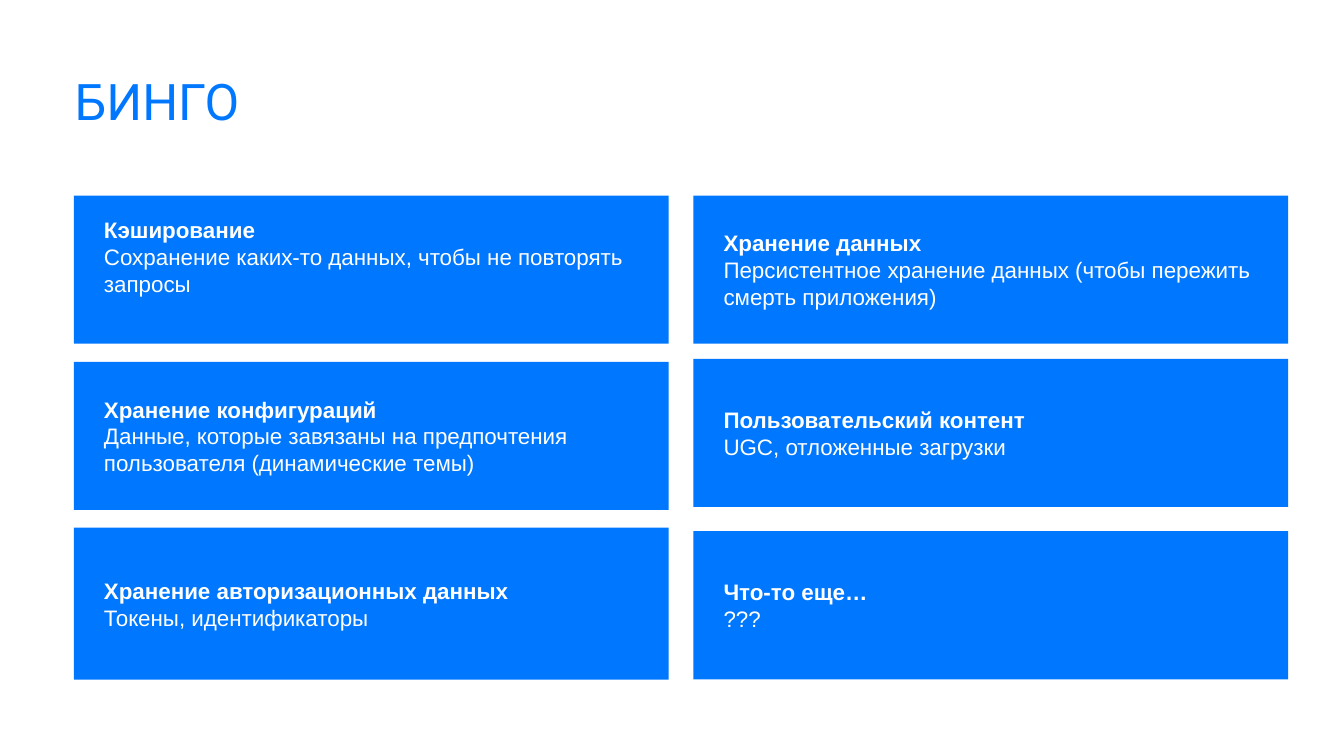
from pptx import Presentation
from pptx.dml.color import RGBColor
from pptx.enum.shapes import MSO_SHAPE
from pptx.enum.text import MSO_ANCHOR as ANCHOR, PP_ALIGN as ALIGN
from pptx.util import Pt

BLUE = RGBColor(0x00, 0x77, 0xFF)
WHITE = RGBColor(0xFF, 0xFF, 0xFF)

CARD_W, CARD_H = 424.8, 105.84
PAD_X, PAD_Y = 7.2, 3.6
LINE_H = 19

COLUMNS = [
    (52.8, [
        (139.68, CARD_H, LINE_H, "Кэширование",
         "Сохранение каких-то данных, чтобы не повторять запросы"),
        (258.48, CARD_H, 0, "Хранение конфигураций",
         "Данные, которые завязаны на предпочтения пользователя (динамические темы)"),
        (376.8, 108.72, 0, "Хранение авторизационных данных",
         "Токены, идентификаторы"),
    ]),
    (495.36, [
        (139.68, CARD_H, 0, "Хранение данных",
         "Персистентное хранение данных (чтобы пережить смерть приложения)"),
        (256.32, CARD_H, 0, "Пользовательский контент", "UGC, отложенные загрузки"),
        (379.44, CARD_H, 0, "Что-то еще…", "???"),
    ]),
]


def add_text(p, text, size=16, font="Arial", color=WHITE, bold=False,
             indent=0, spacing=None):
    p.alignment = ALIGN.LEFT
    if indent:
        p._p.get_or_add_pPr().set("marL", str(Pt(indent)))
    if spacing:
        p.line_spacing = spacing
    r = p.add_run()
    r.text = text
    r.font.size = Pt(size)
    r.font.name = font
    r.font.bold = bold
    r.font.color.rgb = color


def set_frame(tf, anchor, left=0, top=0, right=0, bottom=0):
    tf.word_wrap = True
    tf.vertical_anchor = anchor
    tf.margin_left, tf.margin_right = Pt(left), Pt(right)
    tf.margin_top, tf.margin_bottom = Pt(top), Pt(bottom)


def add_title(slide, x, y, w, h, text):
    tf = slide.shapes.add_textbox(Pt(x), Pt(y), Pt(w), Pt(h)).text_frame
    set_frame(tf, ANCHOR.TOP)
    add_text(tf.paragraphs[0], text, size=36, font="Roboto", color=BLUE, spacing=0.9)


def add_card(slide, x, y, w, h, lift, heading, body):
    sp = slide.shapes.add_shape(MSO_SHAPE.RECTANGLE, Pt(x), Pt(y), Pt(w), Pt(h))
    sp.shadow.inherit = False
    sp.fill.solid()
    sp.fill.fore_color.rgb = BLUE
    sp.line.fill.background()
    tf = sp.text_frame
    set_frame(tf, ANCHOR.MIDDLE, PAD_X, PAD_Y, PAD_X, PAD_Y + lift)
    add_text(tf.paragraphs[0], heading, bold=True, indent=14.4)
    add_text(tf.add_paragraph(), body, indent=14.4)


def main():
    prs = Presentation()
    prs.slide_width, prs.slide_height = Pt(960), Pt(540)
    slide = prs.slides.add_slide(prs.slide_layouts[6])
    add_title(slide, 53.28, 54.72, 854.64, 50.4, "БИНГО")
    for x, cards in COLUMNS:
        for y, h, lift, heading, body in cards:
            add_card(slide, x, y, CARD_W, h, lift, heading, body)
    prs.save("out.pptx")


if __name__ == "__main__":
    main()
